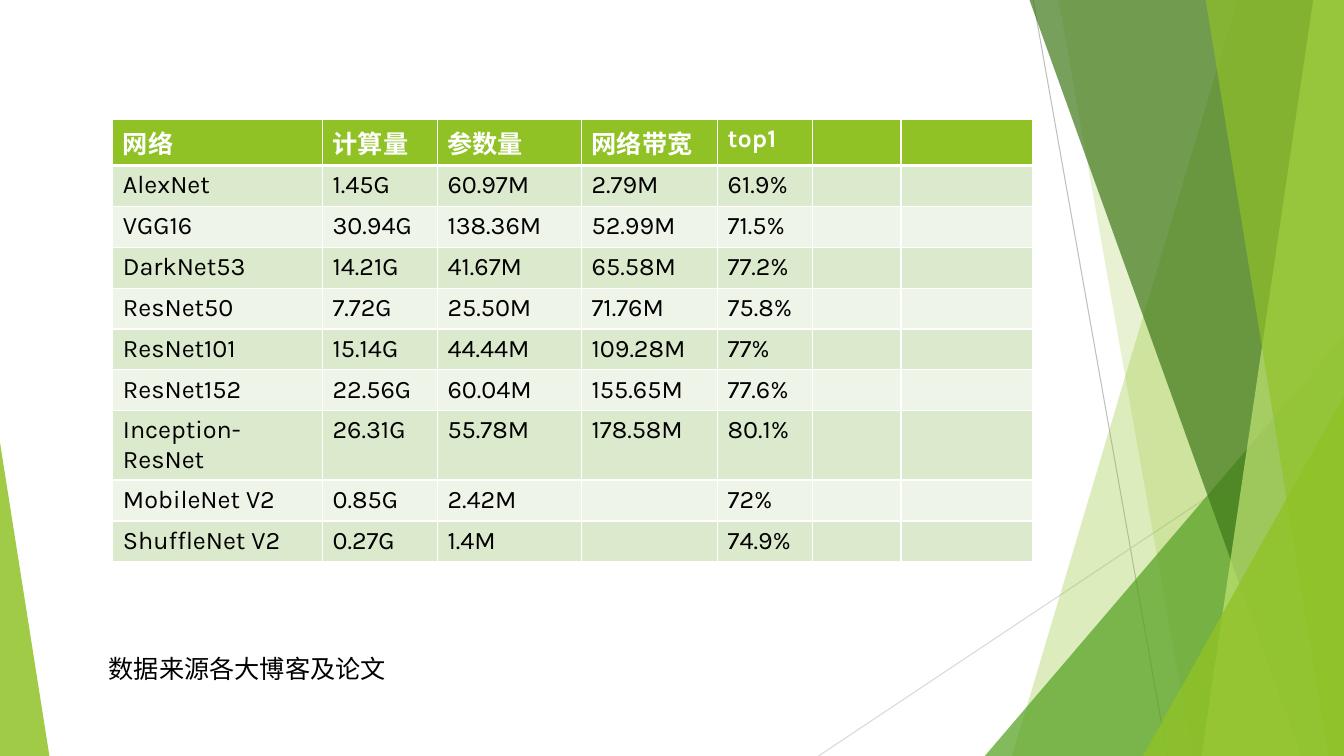
from dataclasses import dataclass

from lxml import etree
from pptx import Presentation
from pptx.dml.color import RGBColor
from pptx.enum.shapes import MSO_CONNECTOR, MSO_SHAPE
from pptx.enum.text import MSO_AUTO_SIZE
from pptx.oxml.ns import qn
from pptx.util import Pt

STRAIGHT = MSO_CONNECTOR.STRAIGHT
TRIANGLE = MSO_SHAPE.ISOSCELES_TRIANGLE
FIT_SHAPE = MSO_AUTO_SIZE.SHAPE_TO_FIT_TEXT

WIDTH, HEIGHT = 960, 540
PANEL_TOP = -0.72


@dataclass(frozen=True)
class Theme:
    font: str = "Karla"
    size: float = 18
    text: str = "000000"
    white: str = "FFFFFF"
    green: str = "90C226"
    leaf: str = "54A021"
    forest: str = "3F7819"
    lime: str = "C0E474"
    band_dark: str = "DBE9CD"
    band_light: str = "EEF4E8"
    ray_dark: str = "BFBFBF"
    ray_light: str = "D9D9D9"


THEME = Theme()


@dataclass(frozen=True)
class Ray:
    x1: float
    y1: float
    x2: float
    y2: float
    color: str


@dataclass(frozen=True)
class Panel:
    top_x: float
    bottom_x: float
    color: str
    opacity: int


@dataclass(frozen=True)
class Corner:
    left: float
    top: float
    right: float
    apex: float
    color: str
    opacity: int


RAYS = [
    Ray(738, 0, 833.76, HEIGHT, THEME.ray_dark),
    Ray(WIDTH, 290.16, 584.64, HEIGHT, THEME.ray_light),
]

FACETS = [
    Panel(884.16, 722.88, THEME.green, 30),
    Panel(756, 851.76, THEME.green, 20),
    Corner(703.44, 239.76, WIDTH, 1, THEME.leaf, 72),
    Panel(735.12, 929.52, THEME.forest, 70),
    Panel(938.16, 858.24, THEME.lime, 70),
    Panel(861.12, 948.96, THEME.green, 65),
    Corner(816.48, 282.96, WIDTH, 1, THEME.green, 80),
    Corner(0, 316.08, 35.28, 0, THEME.green, 85),
]

COLUMN_WIDTHS = [149.76, 82.08, 102.96, 97.2, 67.68, 63.36, 93.6]
ROW_HEIGHT = 29.2
NETWORKS = [
    ("网络", "计算量", "参数量", "网络带宽", "top1"),
    ("AlexNet", "1.45G", "60.97M", "2.79M", "61.9%"),
    ("VGG16", "30.94G", "138.36M", "52.99M", "71.5%"),
    ("DarkNet53", "14.21G", "41.67M", "65.58M", "77.2%"),
    ("ResNet50", "7.72G", "25.50M", "71.76M", "75.8%"),
    ("ResNet101", "15.14G", "44.44M", "109.28M", "77%"),
    ("ResNet152", "22.56G", "60.04M", "155.65M", "77.6%"),
    ("Inception-ResNet", "26.31G", "55.78M", "178.58M", "80.1%"),
    ("MobileNet V2", "0.85G", "2.42M", "", "72%"),
    ("ShuffleNet V2", "0.27G", "1.4M", "", "74.9%"),
]


def rgb(color: str) -> RGBColor:
    return RGBColor.from_string(color)


def draw_ray(s, ray: Ray) -> None:
    line = s.shapes.add_connector(STRAIGHT, Pt(ray.x1), Pt(ray.y1), Pt(ray.x2), Pt(ray.y2))
    line.line.color.rgb = rgb(ray.color)
    line.line.width = Pt(0.75)
    etree.SubElement(line._element.spPr, qn("a:effectLst"))


def add_panel(s, panel: Panel):
    builder = s.shapes.build_freeform(Pt(panel.top_x), Pt(PANEL_TOP))
    builder.add_line_segments([
        (Pt(WIDTH), Pt(PANEL_TOP)),
        (Pt(WIDTH), Pt(HEIGHT)),
        (Pt(panel.bottom_x), Pt(HEIGHT)),
    ], close=True)
    return builder.convert_to_shape()


def add_corner(s, corner: Corner):
    shape = s.shapes.add_shape(
        TRIANGLE, Pt(corner.left), Pt(corner.top),
        Pt(corner.right - corner.left), Pt(HEIGHT - corner.top))
    shape.adjustments[0] = corner.apex
    return shape


def draw_facet(s, facet: Panel | Corner) -> None:
    shape = add_panel(s, facet) if isinstance(facet, Panel) else add_corner(s, facet)
    shape.shadow.inherit = False
    shape.line.fill.background()
    shape.fill.solid()
    shape.fill.fore_color.rgb = rgb(facet.color)
    color = shape._element.spPr.find(qn("a:solidFill")).find(qn("a:srgbClr"))
    etree.SubElement(color, qn("a:alpha"), val=str(facet.opacity * 1000))


def style_text(tf, color: str, bold: bool = False) -> None:
    for p in tf.paragraphs:
        for r in p.runs:
            r.font.name = THEME.font
            r.font.size = Pt(THEME.size)
            r.font.bold = bold
            r.font.color.rgb = rgb(color)


def set_borders(cell, top: float, bottom: float) -> None:
    tc_pr = cell._tc.get_or_add_tcPr()
    sides = [("a:lnL", 1), ("a:lnR", 1), ("a:lnT", top), ("a:lnB", bottom)]
    for i, (tag, width) in enumerate(sides):
        ln = etree.Element(qn(tag), w=str(Pt(width)))
        fill = etree.SubElement(ln, qn("a:solidFill"))
        etree.SubElement(fill, qn("a:srgbClr"), val=THEME.white)
        tc_pr.insert(i, ln)


def draw_table(s) -> None:
    table = s.shapes.add_table(
        len(NETWORKS), len(COLUMN_WIDTHS), Pt(80.64), Pt(84.96),
        Pt(sum(COLUMN_WIDTHS)), Pt(ROW_HEIGHT * len(NETWORKS))).table
    for column, width in zip(table.columns, COLUMN_WIDTHS):
        column.width = Pt(width)
    for i, (row, values) in enumerate(zip(table.rows, NETWORKS)):
        row.height = Pt(ROW_HEIGHT)
        header = i == 0
        band = THEME.band_dark if i % 2 else THEME.band_light
        for j, cell in enumerate(row.cells):
            cell.fill.solid()
            cell.fill.fore_color.rgb = rgb(THEME.green if header else band)
            set_borders(cell, 3 if i == 1 else 1, 3 if header else 1)
            if j < len(values) and values[j]:
                cell.text_frame.text = values[j]
                style_text(cell.text_frame, THEME.white if header else THEME.text, header)


def draw_source_note(s) -> None:
    box = s.shapes.add_textbox(Pt(70.56), Pt(462.96), Pt(264.96), Pt(28.8))
    tf = box.text_frame
    tf.word_wrap = True
    tf.auto_size = FIT_SHAPE
    tf.text = "数据来源各大博客及论文"
    style_text(tf, THEME.text)


def main() -> None:
    prs = Presentation()
    prs.slide_width, prs.slide_height = Pt(WIDTH), Pt(HEIGHT)
    s = prs.slides.add_slide(prs.slide_layouts.get_by_name("Blank"))
    for ray in RAYS:
        draw_ray(s, ray)
    for facet in FACETS:
        draw_facet(s, facet)
    draw_table(s)
    draw_source_note(s)
    prs.save("out.pptx")


if __name__ == "__main__":
    main()
